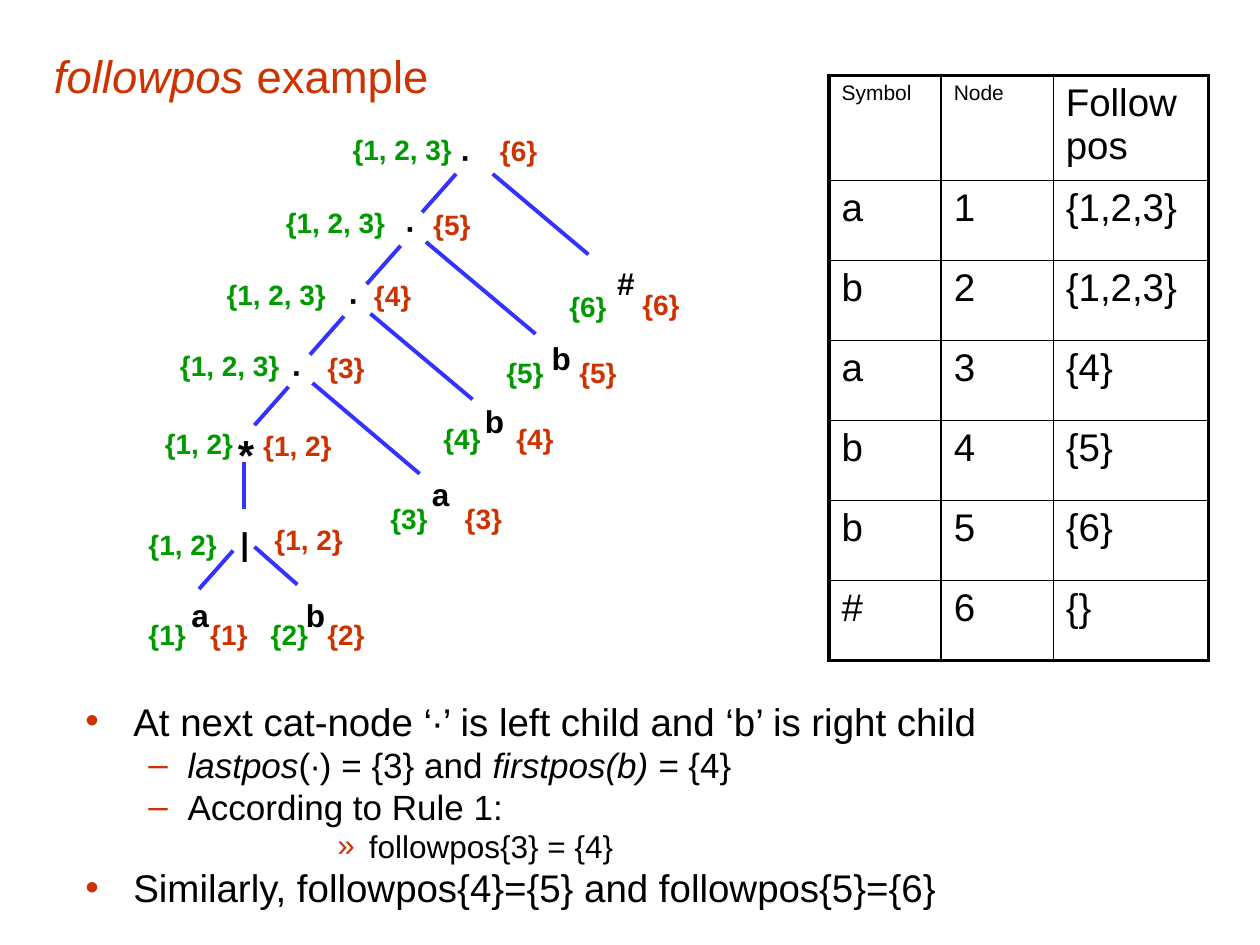
import pptx
import pptx.dml.color
import pptx.enum.shapes
import pptx.enum.text
import pptx.oxml
import pptx.oxml.ns
import pptx.util

BLACK = pptx.dml.color.RGBColor(0x00, 0x00, 0x00)
RED = pptx.dml.color.RGBColor(0xCC, 0x33, 0x00)
GREEN = pptx.dml.color.RGBColor(0x00, 0x99, 0x00)
BLUE = pptx.dml.color.RGBColor(0x33, 0x33, 0xFF)
WHITE = pptx.dml.color.RGBColor(0xFF, 0xFF, 0xFF)

# The slide is a grid of 100 columns by 75 rows.
COLUMNS, ROWS = 100, 75

# Symbol, its place, then label and place of firstpos and of lastpos
NODES = [
    ("∙", (35.6, 10.5), "{1, 2, 3}", (27, 10), "{6}", (38.7, 10.1)),
    ("∙", (31.2, 16.1), "{1, 2, 3}", (21.7, 15.8), "{5}", (33.4, 16)),
    ("∙", (26.7, 21.8), "{1, 2, 3}", (17, 21.5), "{4}", (28.7, 21.6)),
    ("∙", (22.2, 27.5), "{1, 2, 3}", (13.3, 27.2), "{3}", (25, 27.3)),
    ("*", (17.9, 33.5), "{1, 2}", (12.1, 33.4), "{1, 2}", (19.9, 33.5)),
    ("|", (18.1, 41.1), "{1, 2}", (10.8, 41.4), "{1, 2}", (20.8, 41)),
    ("a", (14.2, 46.8), "{1}", (10.8, 48.5), "{1}", (15.7, 48.5)),
    ("b", (23.3, 46.8), "{2}", (20.5, 48.5), "{2}", (25, 48.5)),
    ("a", (33.3, 37.2), "{3}", (30, 39.3), "{3}", (35.9, 39.3)),
    ("b", (37.5, 31.4), "{4}", (34.2, 33), "{4}", (40, 33)),
    ("b", (42.8, 26.4), "{5}", (39.2, 27.7), "{5}", (45, 27.7)),
    ("#", (48, 20.5), "{6}", (44.2, 22.5), "{6}", (50, 22.3)),
]
SYMBOL_WIDTHS = {"∙": 3.2, "*": 3.3, "|": 2.7, "a": 3.4, "b": 3.5, "#": 3.4}
LABEL_WIDTHS = {"{1, 2}": 7.5, "{1, 2, 3}": 10}

# All edges to a left child have the same slope
LEFT_EDGE_STARTS = [(36.2, 13.8), (31.8, 19.5), (27.3, 25.1), (22.9, 30.7), (18.5, 43.7)]
LEFT_EDGE_RUN, LEFT_EDGE_DROP = -2.7, 3.05
OTHER_EDGES = [
    ((39.1, 13.8), (46.7, 20.2)),
    ((33.8, 19.2), (42.5, 26.5)),
    ((29.4, 24.9), (37.5, 31.7)),
    ((24.8, 30.4), (33.3, 37.6)),
    ((20.2, 43.4), (23.6, 46.4)),
    ((19.4, 36.7), (19.4, 40.4)),
]

FOLLOWPOS_ROWS = [
    ("Symbol", "Node", "Followpos"),
    ("a", "1", "{1,2,3}"),
    ("b", "2", "{1,2,3}"),
    ("a", "3", "{4}"),
    ("b", "4", "{5}"),
    ("b", "5", "{6}"),
    ("#", "6", "{}"),
]

# Level, size, left margin, hanging indent (columns), bullet, runs (text, italic)
NOTES = [
    (0, 22, 3.8, 3.8, "•", [("At next cat-node ‘∙’ is left child and ‘b’ is right child", False)]),
    (1, 20, 8.1, 3.1, "–", [("lastpos", True), ("(∙) = {3} and ", False),
                            ("firstpos(b) = ", True), ("{4}", False)]),
    (1, 20, 8.1, 3.1, "–", [("According to Rule 1:", False)]),
    (4, 18, 22.5, 2.5, "»", [("followpos{3} = {4}", False)]),
    (0, 22, 3.8, 3.8, "•", [("Similarly, followpos{4}={5} and followpos{5}={6}", False)]),
]


class SlideBuilder:
    """Holds the style and the current slide."""

    font_name = "Arial"
    line_width = 2.25

    def __init__(self, presentation):
        self.column = presentation.slide_width / COLUMNS
        self.row = presentation.slide_height / ROWS
        self.slide = presentation.slides.add_slide(presentation.slide_layouts[6])
        self.slide.background.fill.solid()
        self.slide.background.fill.fore_color.rgb = WHITE

    def x(self, columns):
        return round(columns * self.column)

    def y(self, rows):
        return round(rows * self.row)

    def add_run(self, paragraph, text, size, color=BLACK, bold=False, italic=False):
        run = paragraph.add_run()
        run.text = text
        run.font.name = self.font_name
        run.font.size = pptx.util.Pt(size)
        run.font.color.rgb = color
        run.font.bold = bold
        run.font.italic = italic

    def add_frame(self, left, top, width, height):
        shape = self.slide.shapes.add_textbox(
            self.x(left), self.y(top), self.x(width), self.y(height))
        shape.text_frame.word_wrap = True
        return shape.text_frame

    def add_label(self, text, place, width, height, size, color):
        frame = self.add_frame(*place, width, height)
        self.add_run(frame.paragraphs[0], text, size, color, bold=True)

    def add_title(self, place, runs):
        frame = self.add_frame(*place)
        frame.vertical_anchor = pptx.enum.text.MSO_ANCHOR.MIDDLE
        for text, italic in runs:
            self.add_run(frame.paragraphs[0], text, 26, RED, italic=italic)

    def add_edge(self, start, end):
        connector = self.slide.shapes.add_connector(
            pptx.enum.shapes.MSO_CONNECTOR.STRAIGHT,
            self.x(start[0]), self.y(start[1]), self.x(end[0]), self.y(end[1]))
        connector.line.color.rgb = BLUE
        connector.line.width = pptx.util.Pt(self.line_width)
        properties = connector._element.spPr
        properties.append(properties.makeelement(pptx.oxml.ns.qn("a:effectLst"), {}))

    def add_bullets(self, place, notes):
        frame = self.add_frame(*place)
        for index, (level, size, margin, hanging, bullet, runs) in enumerate(notes):
            paragraph = frame.add_paragraph() if index else frame.paragraphs[0]
            properties = paragraph._p.get_or_add_pPr()
            properties.set("marL", str(self.x(margin)))
            properties.set("indent", str(-self.x(hanging)))
            namespace = pptx.oxml.ns.nsdecls("a")
            for xml in (f'<a:buClr {namespace}><a:srgbClr val="{RED}"/></a:buClr>',
                        f'<a:buFont {namespace} typeface="{self.font_name}"/>',
                        f'<a:buChar {namespace} char="{bullet}"/>'):
                properties.append(pptx.oxml.parse_xml(xml))
            paragraph.level = level
            paragraph.line_spacing = 0.8
            if index:
                paragraph.space_before = pptx.util.Pt(round(size * 0.23, 1))
            for text, italic in runs:
                self.add_run(paragraph, text, size, italic=italic)

    def set_borders(self, cell, widths):
        properties = cell._tc.get_or_add_tcPr()
        for index, (side, width) in enumerate(widths.items()):
            properties.insert(index, pptx.oxml.parse_xml(
                f'<a:ln{side} {pptx.oxml.ns.nsdecls("a")} w="{pptx.util.Pt(width)}">'
                f'<a:solidFill><a:srgbClr val="{BLACK}"/></a:solidFill></a:ln{side}>'))

    def add_table(self, left, top, column_widths, row_heights, rows):
        table = self.slide.shapes.add_table(
            len(rows), len(column_widths), self.x(left), self.y(top),
            self.x(sum(column_widths)), self.y(sum(row_heights))).table
        table.first_row = table.horz_banding = False
        for column, width in zip(table.columns, column_widths):
            column.width = self.x(width)
        last_row, last_column = len(rows) - 1, len(column_widths) - 1
        for i, texts in enumerate(rows):
            table.rows[i].height = self.y(row_heights[i])
            for j, text in enumerate(texts):
                cell = table.cell(i, j)
                cell.fill.background()
                size = 12 if i == 0 and j < last_column else 22
                self.add_run(cell.text_frame.paragraphs[0], text, size)
                # Heavy outer frame, thin inner lines
                outer = {"L": j == 0, "R": j == last_column, "T": i == 0, "B": i == last_row}
                self.set_borders(cell, {side: self.line_width if edge else 1
                                        for side, edge in outer.items()})


def main():
    presentation = pptx.Presentation()
    presentation.slide_width = pptx.util.Inches(10)
    presentation.slide_height = pptx.util.Inches(7.5)
    builder = SlideBuilder(presentation)

    # Title, notes and table
    builder.add_title((3.3, 2.5, 94, 7), [("followpos", True), (" example", False)])
    builder.add_bullets((5.8, 55.6, 92.5, 19.4), NOTES)
    builder.add_table(65.8, 6, [8.9, 8.9, 12.3], [8.3] + [6.35] * 6, FOLLOWPOS_ROWS)

    # Syntax tree edges
    for x, y in LEFT_EDGE_STARTS:
        builder.add_edge((x, y), (x + LEFT_EDGE_RUN, y + LEFT_EDGE_DROP))
    for start, end in OTHER_EDGES:
        builder.add_edge(start, end)

    # Syntax tree nodes with firstpos in green and lastpos in red
    for symbol, place, first, first_place, last, last_place in NODES:
        size, height = (24, 5) if symbol == "*" else (18, 4)
        builder.add_label(symbol, place, SYMBOL_WIDTHS[symbol], height, size, BLACK)
        for text, spot, color in ((first, first_place, GREEN), (last, last_place, RED)):
            builder.add_label(text, spot, LABEL_WIDTHS.get(text, 5), 3.7, 16, color)

    presentation.save("out.pptx")


if __name__ == "__main__":
    main()
